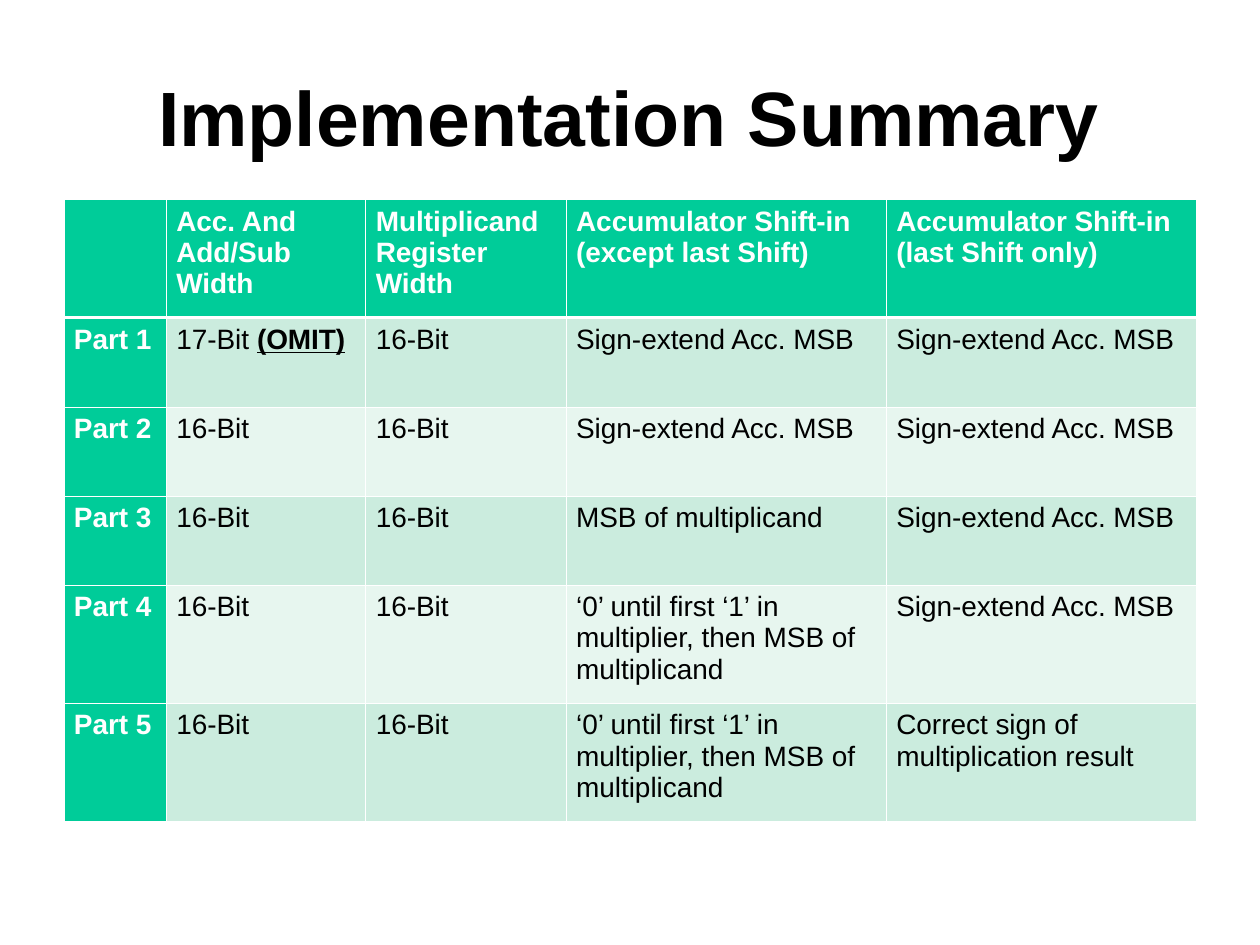
from dataclasses import dataclass

from lxml.etree import SubElement
from pptx import Presentation
from pptx.dml.color import RGBColor
from pptx.enum.text import MSO_ANCHOR, PP_ALIGN as Align
from pptx.oxml.ns import qn
from pptx.util import Pt

COLORS = {
    "head": "00CC99",
    "odd": "CBECDE",
    "even": "E7F6EF",
    "white": "FFFFFF",
    "black": "000000",
}
COL_WIDTHS = [58.5, 114, 114.5, 183, 177]
ROW_HEIGHTS = [67.5, 51, 51, 51, 67.5, 67.5]
THIN, THICK = 0.45, 1.47


@dataclass(frozen=True)
class Part:
    name: str
    width: str
    register: str
    shift_in: str
    last_shift: str
    note: str = ""


EXTEND = "Sign-extend Acc. MSB"
FIRST_ONE = "‘0’ until first ‘1’ in multiplier, then MSB of multiplicand"
HEADER = Part(
    "",
    "Acc. And Add/Sub Width",
    "Multiplicand Register Width",
    "Accumulator Shift-in\n(except last Shift)",
    "Accumulator Shift-in\n(last Shift only)",
)
PARTS = [
    Part("Part 1", "17-Bit ", "16-Bit", EXTEND, EXTEND, note="(OMIT)"),
    Part("Part 2", "16-Bit", "16-Bit", EXTEND, EXTEND),
    Part("Part 3", "16-Bit", "16-Bit", "MSB of multiplicand", EXTEND),
    Part("Part 4", "16-Bit", "16-Bit", FIRST_ONE, EXTEND),
    Part("Part 5", "16-Bit", "16-Bit", FIRST_ONE, "Correct sign of multiplication result"),
]


def rgb(name: str) -> RGBColor:
    """Return a named colour."""
    return RGBColor.from_string(COLORS[name])


def add_text(p, text: str, *, size: float = 16, color: str = "black",
             bold: bool = False, underline: bool = False, align=Align.LEFT) -> None:
    """Append formatted text to a paragraph."""
    p.alignment = align
    r = p.add_run()
    r.text = text
    r.font.name = "Arial"
    r.font.size = Pt(size)
    r.font.bold = bold
    r.font.underline = underline
    r.font.color.rgb = rgb(color)


def set_borders(cell, top: float, bottom: float) -> None:
    """Give a cell white borders on all four sides."""
    tc_pr = cell._tc.get_or_add_tcPr()
    widths = {"lnL": THIN, "lnR": THIN, "lnT": top, "lnB": bottom}
    for i, (tag, width) in enumerate(widths.items()):
        ln = SubElement(tc_pr, qn(f"a:{tag}"), w=str(Pt(width)))
        fill = SubElement(ln, qn("a:solidFill"))
        SubElement(fill, qn("a:srgbClr"), val=COLORS["white"])
        tc_pr.insert(i, ln)


def fill_cell(cell, text: str, row: int, col: int, note: str) -> None:
    """Format one table cell and write its text."""
    heading = row == 0 or col == 0
    cell.fill.solid()
    cell.fill.fore_color.rgb = rgb("head" if heading else "odd" if row % 2 else "even")
    set_borders(cell, THICK if row == 1 else THIN, THICK if row == 0 else THIN)
    cell.margin_left = cell.margin_right = Pt(5.76)
    cell.margin_top = cell.margin_bottom = Pt(3.6)
    if not text:
        return
    tf = cell.text_frame
    for i, line in enumerate(text.split("\n")):
        p = tf.add_paragraph() if i else tf.paragraphs[0]
        add_text(p, line, bold=heading, color="white" if heading else "black",
                 align=Align.LEFT if col else Align.JUSTIFY)
    if note:
        add_text(p, note, bold=True, underline=True)
    p.space_after = Pt(5.8)


def add_title(s, text: str) -> None:
    """Add the centred slide title."""
    tf = s.shapes.add_textbox(Pt(36), Pt(21.6), Pt(647), Pt(89.3)).text_frame
    tf.word_wrap = True
    tf.vertical_anchor = MSO_ANCHOR.MIDDLE
    add_text(tf.paragraphs[0], text, size=44, bold=True, align=Align.CENTER)


def add_summary(s, rows: list[Part]) -> None:
    """Add the summary table with a header row and column."""
    table = s.shapes.add_table(
        len(rows), len(COL_WIDTHS), Pt(36.5), Pt(114),
        Pt(sum(COL_WIDTHS)), Pt(sum(ROW_HEIGHTS))).table
    table.first_col = True
    for column, width in zip(table.columns, COL_WIDTHS):
        column.width = Pt(width)
    for row, (part, height) in enumerate(zip(rows, ROW_HEIGHTS)):
        table.rows[row].height = Pt(height)
        texts = [part.name, part.width, part.register, part.shift_in, part.last_shift]
        for col, text in enumerate(texts):
            fill_cell(table.cell(row, col), text, row, col, part.note if col == 1 else "")


def main() -> None:
    """Build and save the slide."""
    prs = Presentation()
    prs.slide_width, prs.slide_height = Pt(720), Pt(540)
    s = prs.slides.add_slide(prs.slide_layouts[6])
    add_title(s, "Implementation Summary")
    add_summary(s, [HEADER, *PARTS])
    prs.save("out.pptx")


if __name__ == "__main__":
    main()
